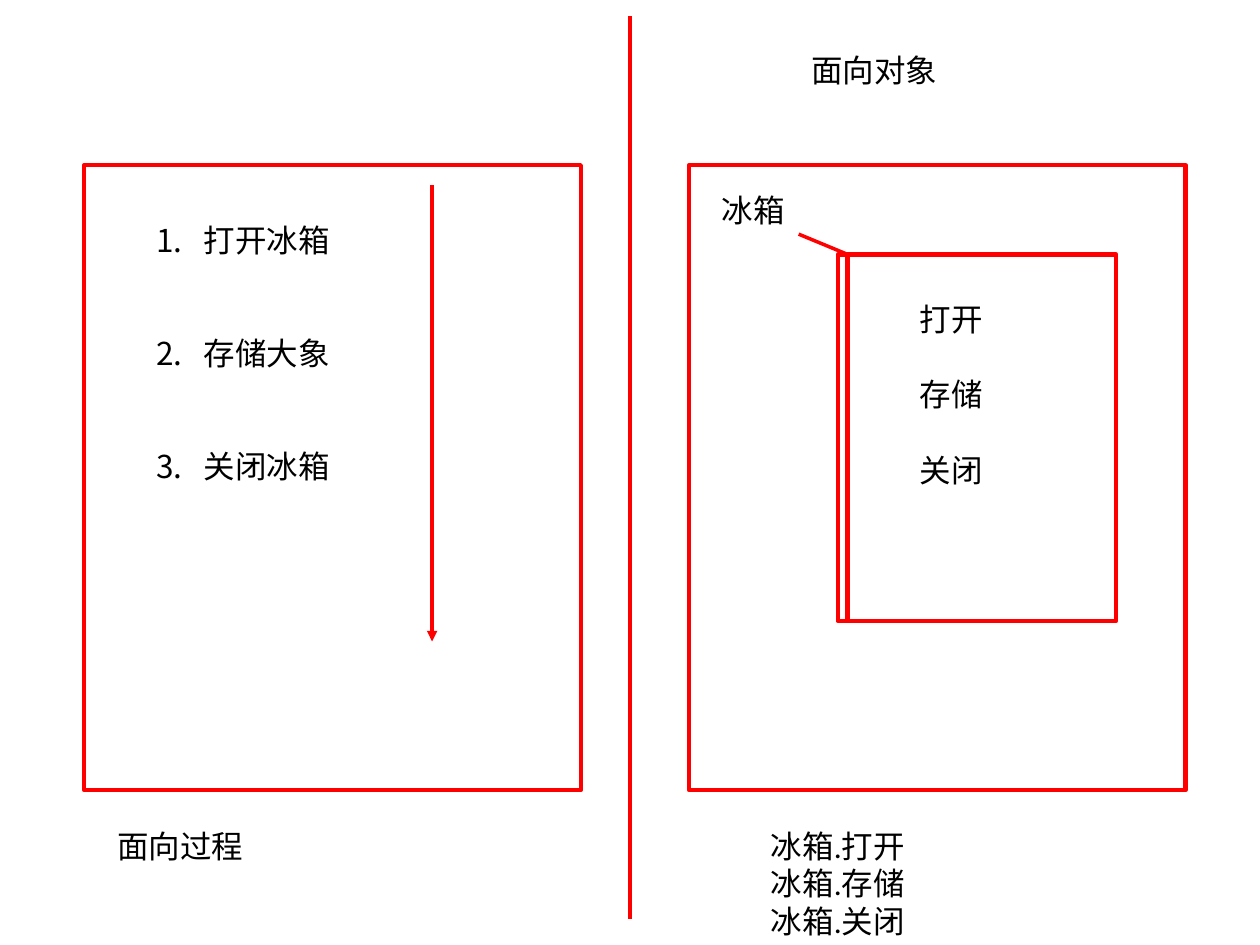
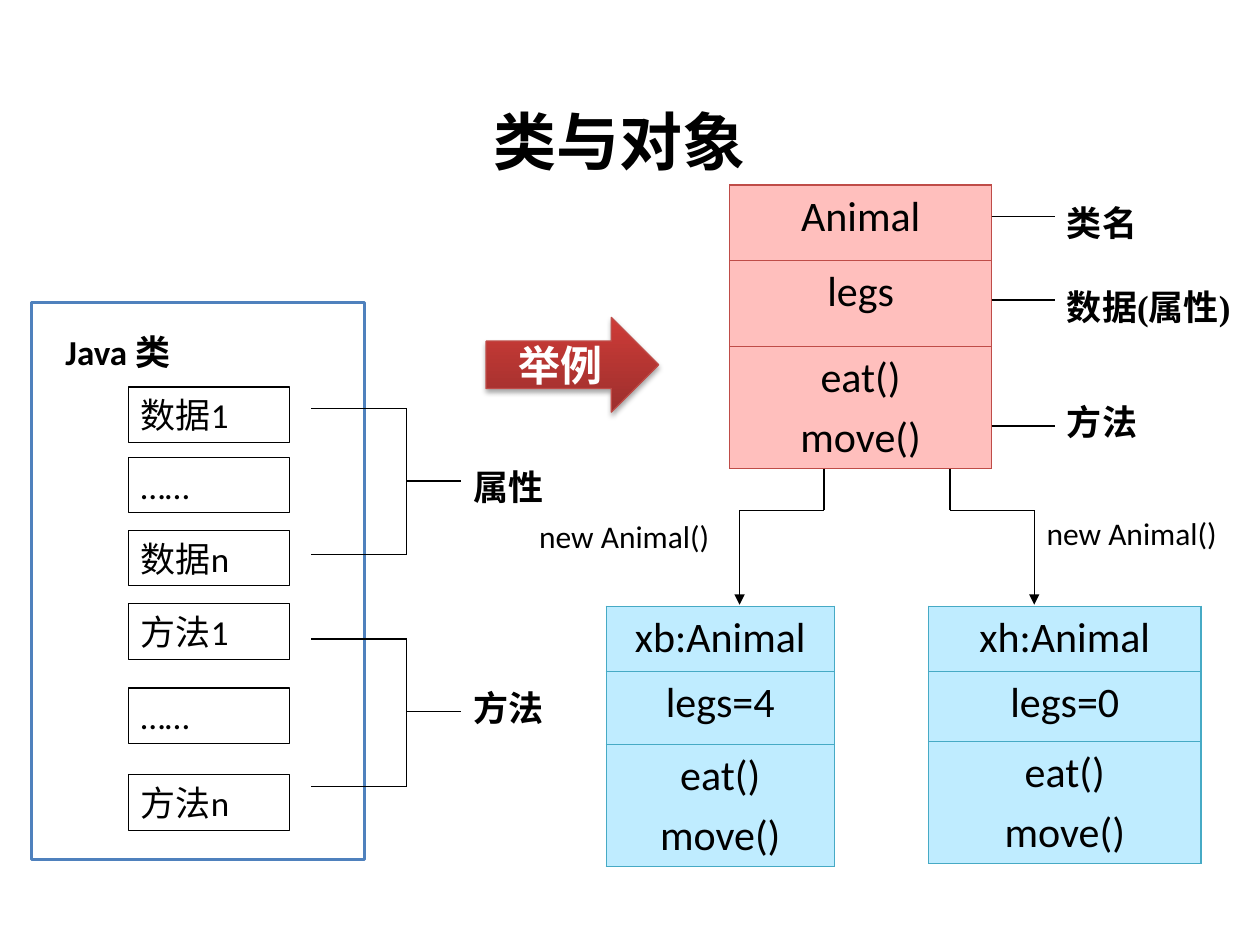
from dataclasses import dataclass
from itertools import pairwise

from lxml.etree import SubElement
from pptx import Presentation
from pptx.dml.color import RGBColor as Rgb
from pptx.enum.shapes import MSO_CONNECTOR as Connector, MSO_SHAPE as Shape
from pptx.enum.text import MSO_ANCHOR as Anchor, MSO_AUTO_SIZE as AutoSize, PP_ALIGN as Align
from pptx.oxml.ns import qn
from pptx.util import Cm, Pt


@dataclass(frozen=True)
class Theme:
    ink: str = "000000"
    paper: str = "FFFFFF"
    red: str = "FF0000"
    frame: str = "4F81BD"
    class_fill: str = "FFBFBD"
    class_line: str = "BF4C48"
    object_fill: str = "BFECFF"
    object_line: str = "46AAC5"
    arrow_dark: str = "9C2F2D"
    arrow_light: str = "CE3B37"
    sans: str = "Calibri"
    serif: str = "Times New Roman"
    title: int = 36
    large: int = 24
    medium: int = 20
    small: int = 18
    hairline: float = 0.75
    stroke: float = 2
    outline: float = 2.5


THEME = Theme()


def color(value):
    return Rgb.from_string(value)


def write(frame, lines, size=THEME.small, font=THEME.sans, bold=False, ink=THEME.ink,
          align=Align.LEFT, before=0, after=0):
    frame.word_wrap = True
    for index, line in enumerate(lines):
        para = frame.paragraphs[0] if index == 0 else frame.add_paragraph()
        para.text = line
        para.alignment = align
        para.space_before = Pt(before if index else 0)
        para.space_after = Pt(after)
        para.font.size = Pt(size)
        para.font.name = font
        para.font.bold = bold
        para.font.color.rgb = color(ink)


def place(shape, left, top, width, height):
    shape.left, shape.top = Cm(left), Cm(top)
    shape.width, shape.height = Cm(width), Cm(height)


def fill_placeholder(shape, area, lines, **style):
    place(shape, *area)
    frame = shape.text_frame
    frame.auto_size = AutoSize.NONE
    frame.vertical_anchor = Anchor.TOP
    write(frame, lines, **style)


def number_list(frame):
    for para in frame.paragraphs:
        props = para._p.get_or_add_pPr()
        props.set("marL", str(Cm(0.95)))
        props.set("indent", str(Cm(-0.95)))
        bullet = props.makeelement(qn("a:buAutoNum"), {"type": "arabicPeriod"})
        props.find(qn("a:defRPr")).addprevious(bullet)


def add_text(page, area, *lines, **style):
    box = page.shapes.add_textbox(*map(Cm, area))
    write(box.text_frame, lines, **style)


def add_box(page, area, line, width, fill=None, kind=Shape.RECTANGLE):
    box = page.shapes.add_shape(kind, *map(Cm, area))
    box.shadow.inherit = False
    if fill:
        box.fill.solid()
        box.fill.fore_color.rgb = color(fill)
    else:
        box.fill.background()
    box.line.color.rgb = color(line)
    box.line.width = Pt(width)
    return box


def add_path(page, points, line=THEME.ink, width=THEME.hairline, arrow=False):
    for (x1, y1), (x2, y2) in pairwise(points):
        link = page.shapes.add_connector(Connector.STRAIGHT, Cm(x1), Cm(y1), Cm(x2), Cm(y2))
        link.line.color.rgb = color(line)
        link.line.width = Pt(width)
        SubElement(link._element.spPr, qn("a:effectLst"))
    if arrow:
        SubElement(link.line._get_or_add_ln(), qn("a:tailEnd"), type="triangle")


def set_borders(cell, line):
    props = cell._tc.get_or_add_tcPr()
    for position, side in enumerate(("lnL", "lnR", "lnT", "lnB")):
        border = props.makeelement(qn(f"a:{side}"), {"w": str(Pt(THEME.hairline))})
        paint = SubElement(border, qn("a:solidFill"))
        SubElement(paint, qn("a:srgbClr"), val=line)
        props.insert(position, border)


def add_class_table(page, left, top, width, heights, name, data, fill, line):
    area = map(Cm, (left, top, width, sum(heights)))
    table = page.shapes.add_table(len(heights), 1, *area).table
    table.first_row = table.horz_banding = False
    rows = ([name], [data], ["eat()", "move()"])
    for index, (height, lines) in enumerate(zip(heights, rows)):
        table.rows[index].height = Cm(height)
        cell = table.cell(index, 0)
        cell.fill.solid()
        cell.fill.fore_color.rgb = color(fill)
        set_borders(cell, line)
        write(cell.text_frame, lines, size=THEME.large, align=Align.CENTER, before=5)


def add_bracket(page, top, bottom, middle, label, label_top):
    start, spine, end = 6.27, 8.2, 9.3
    add_path(page, [(start, top), (spine, top), (spine, bottom), (start, bottom)])
    add_path(page, [(spine, middle), (end, middle)])
    add_text(page, (end, label_top, 2.59, 1.1), label, size=THEME.medium, bold=True)


def add_example_arrow(page):
    arrow = add_box(page, (9.8, 6.4, 3.48, 1.91), THEME.class_line, THEME.hairline,
                    kind=Shape.RIGHT_ARROW)
    arrow.fill.gradient()
    arrow.fill.gradient_angle = 90
    for stop, shade in zip(arrow.fill.gradient_stops, (THEME.arrow_dark, THEME.arrow_light)):
        stop.color.rgb = color(shade)
    effects = arrow._element.spPr.find(qn("a:effectLst"))
    shadow = SubElement(effects, qn("a:outerShdw"), blurRad=str(Pt(3.1)), dist=str(Pt(1.8)),
                        dir="5400000", rotWithShape="0")
    tint = SubElement(shadow, qn("a:srgbClr"), val=THEME.ink)
    SubElement(tint, qn("a:alpha"), val="35000")
    write(arrow.text_frame, ["举例"], size=THEME.large, font=THEME.serif, bold=True,
          ink=THEME.paper, align=Align.CENTER)


def build_paradigms(deck):
    page = deck.slides.add_slide(deck.slide_layouts[1])
    title, steps = page.placeholders
    fill_placeholder(title, (16.1, 0.91, 8.2, 1.02), ["面向对象"])
    fill_placeholder(steps, (2.9, 4.32, 7.8, 6.4), ["打开冰箱", "存储大象", "关闭冰箱"], after=43)
    number_list(steps.text_frame)

    for left in (1.7, 13.89):
        add_box(page, (left, 3.33, 10.01, 12.6), THEME.red, THEME.outline)
    fridge_left, fridge_top, fridge_height, edge = 17.09, 5.13, 7.39, 0.2
    for left, width in ((fridge_left, 5.41), (fridge_left - edge, edge)):
        add_box(page, (left, fridge_top, width, fridge_height), THEME.red, THEME.outline)

    red_stroke = {"line": THEME.red, "width": THEME.stroke}
    add_path(page, [(12.7, 0.33), (12.7, 18.52)], **red_stroke)
    add_path(page, [(fridge_left, fridge_top), (16.1, 4.72)], **red_stroke)
    add_path(page, [(8.71, 3.73), (8.71, 12.93)], arrow=True, **red_stroke)

    actions = ("打开", "存储", "关闭")
    add_text(page, (2.11, 16.54, 8.61, 1.02), "面向过程")
    add_text(page, (14.3, 3.73, 2.21, 1.02), "冰箱")
    add_text(page, (18.29, 5.92, 3.81, 4.11), *actions, after=21.5)
    add_text(page, (15.29, 16.54, 8.99, 2.57), *(f"冰箱.{action}" for action in actions))


def build_class_outline(page):
    add_box(page, (0.64, 6.1, 6.71, 11.23), THEME.frame, THEME.stroke, THEME.paper)
    add_text(page, (1.07, 6.53, 4.78, 1.12), "Java 类", size=THEME.medium, bold=True)
    members = {7.8: "数据1", 9.22: "……", 10.69: "数据n",
               12.17: "方法1", 13.87: "……", 15.62: "方法n"}
    for top, member in members.items():
        box = add_box(page, (2.59, top, 3.25, 1.12), THEME.ink, THEME.hairline)
        write(box.text_frame, [member], size=THEME.medium)
    add_bracket(page, 8.23, 11.18, 9.7, "属性", 9.25)
    add_bracket(page, 12.88, 15.85, 14.35, "方法", 13.72)


def build_animal_example(page):
    add_class_table(page, 14.71, 3.73, 5.28, (1.52, 1.73, 2.24), "Animal", "legs",
                    THEME.class_fill, THEME.class_line)
    objects = ((18.72, 5.49, 1.4, "xh:Animal", "legs=0"),
               (12.22, 4.6, 1.47, "xb:Animal", "legs=4"))
    for left, width, height, name, data in objects:
        add_class_table(page, left, 12.22, width, (1.32, height, 2.11), name, data,
                        THEME.object_fill, THEME.object_line)

    table_right, label_left = 19.99, 21.26
    parts = (("类名", 3.94, 4.37, 2.11), ("数据(属性)", 5.64, 6.05, 4.24),
             ("方法", 7.95, 8.59, 3.18))
    for label, top, leader, width in parts:
        add_path(page, [(table_right, leader), (label_left, leader)])
        add_text(page, (label_left, top, width, 1.1), label,
                 size=THEME.medium, font=THEME.serif, bold=True)

    center, bend = 17.88, 10.29
    for side in (-1, 1):
        inner, outer = center + side * 1.27, center + side * 2.97
        add_path(page, [(inner, 9.45), (inner, bend), (outer, bend), (outer, 12.19)], arrow=True)
    for left, top in ((20.85, 10.24), (10.62, 10.29)):
        add_text(page, (left, top, 4.65, 1.02), "new Animal()")


def build_classes(deck):
    page = deck.slides.add_slide(deck.slide_layouts[5])
    fill_placeholder(page.shapes.title, (9.7, 1.93, 9.93, 1.8), ["类与对象"],
                     size=THEME.title, font=THEME.serif, bold=True)
    build_class_outline(page)
    build_animal_example(page)
    add_example_arrow(page)


def main():
    deck = Presentation()
    deck.slide_width, deck.slide_height = Cm(25.4), Cm(19.05)
    build_paradigms(deck)
    build_classes(deck)
    deck.save("out.pptx")


if __name__ == "__main__":
    main()
